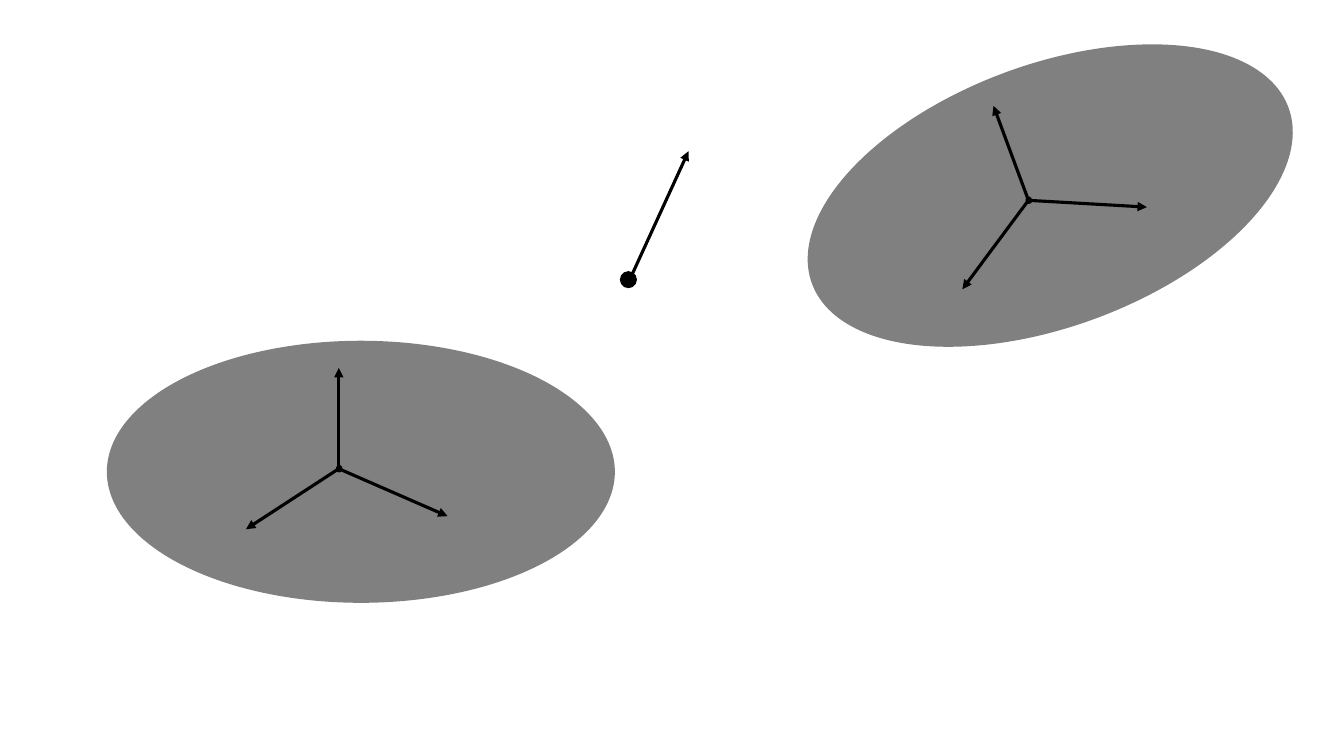
from dataclasses import dataclass

from lxml.etree import SubElement
from pptx import Presentation
from pptx.dml.color import RGBColor
from pptx.enum.shapes import MSO_CONNECTOR as Link, MSO_SHAPE as Form
from pptx.oxml.ns import qn
from pptx.util import Pt

GRAY = RGBColor(0x80, 0x80, 0x80)
BLACK = RGBColor(0, 0, 0)


@dataclass
class Body:
    """A disc with three axes, placed by its centre and turned."""
    x: float
    y: float
    turn: float


BODIES = [Body(257.8, 337, 0), Body(750.2, 139.7, 339.7)]
DISC = (362.9, 187.2)
DOT = (3.6, 4.3)

# Offsets from the disc centre: the hub, then start and tip of each axis
HUB = (-15.5, -2.2)
AXES = [
    ((-15.8, -2.2), (-82.1, 41)),
    ((-15.8, -0.7), (-15.8, -74.2)),
    ((-15.8, -2.2), (61.9, 31.7)),
]


def add_oval(shapes, x: float, y: float, size: tuple[float, float],
             color: RGBColor, edge: float = 0) -> None:
    """Draw an ellipse around the centre x, y."""
    wide, high = size
    oval = shapes.add_shape(Form.OVAL, Pt(x - wide / 2), Pt(y - high / 2),
                            Pt(wide), Pt(high))
    oval.shadow.inherit = False
    oval.fill.solid()
    oval.fill.fore_color.rgb = color
    if edge:
        oval.line.color.rgb = color
        oval.line.width = Pt(edge)
    else:
        oval.line.fill.background()


def add_arrow(shapes, x: float, y: float, tip_x: float, tip_y: float) -> None:
    """Draw a black arrow from x, y to its tip."""
    arrow = shapes.add_connector(Link.STRAIGHT, Pt(x), Pt(y),
                                 Pt(tip_x), Pt(tip_y))
    arrow.line.color.rgb = BLACK
    arrow.line.width = Pt(2.25)
    props = arrow.line._get_or_add_ln()
    SubElement(props, qn("a:tailEnd"), type="triangle")
    SubElement(arrow._element.spPr, qn("a:effectLst"))


def add_body(shapes, body: Body) -> None:
    """Draw disc, hub and axes as one group, then turn it."""
    group = shapes.add_group_shape()
    parts = group.shapes
    add_oval(parts, body.x, body.y, DISC, GRAY)
    add_oval(parts, body.x + HUB[0], body.y + HUB[1], DOT, BLACK, 1)
    for (x, y), (tip_x, tip_y) in AXES:
        add_arrow(parts, body.x + x, body.y + y, body.x + tip_x, body.y + tip_y)
    group.rotation = body.turn


def main() -> None:
    deck = Presentation()
    deck.slide_width, deck.slide_height = Pt(960), Pt(540)
    shapes = deck.slides.add_slide(deck.slide_layouts[6]).shapes

    # Two rigid bodies with their frames
    for body in BODIES:
        add_body(shapes, body)

    # Moving point with its direction
    add_arrow(shapes, 449.3, 200.9, 491.8, 108)
    add_oval(shapes, 448.9, 199.8, (12.2, 12.2), BLACK)

    deck.save("out.pptx")


if __name__ == "__main__":
    main()
